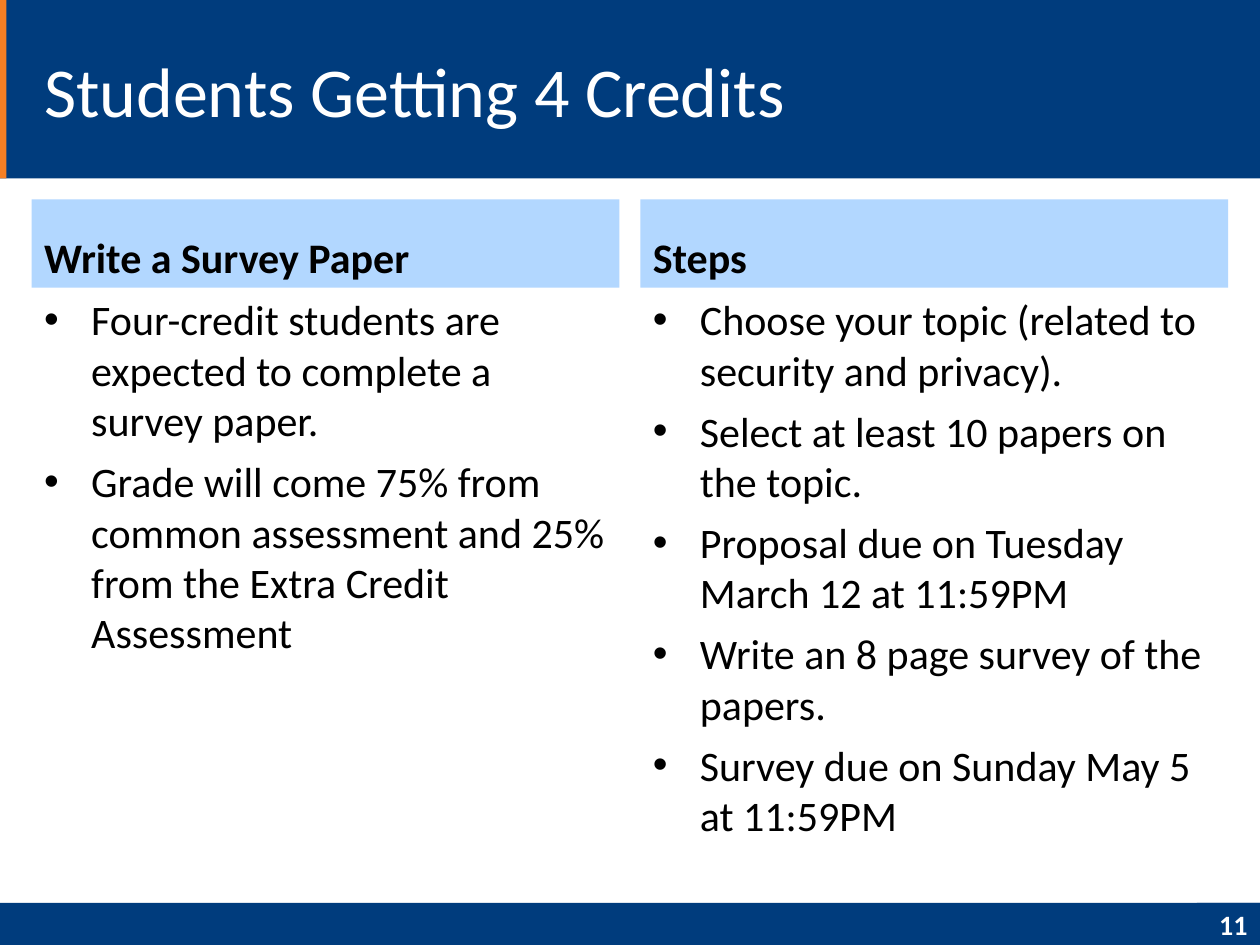
import pptx
import pptx.dml.color
import pptx.enum.shapes
import pptx.enum.text
import pptx.oxml.ns
import pptx.util
from lxml import etree

Cm = pptx.util.Cm
Pt = pptx.util.Pt
ALIGN = pptx.enum.text.PP_ALIGN
ANCHOR = pptx.enum.text.MSO_ANCHOR

COLORS = {
    "navy": "003C7D",
    "orange": "F47F24",
    "sky": "B2D7FF",
    "black": "000000",
    "white": "FFFFFF",
}
SLIDE_WIDTH, SLIDE_HEIGHT = 25.4, 19.05
HEADER_HEIGHT, FOOTER_TOP = 3.6, 18.2
FOOTER_HEIGHT = SLIDE_HEIGHT - FOOTER_TOP
MARGIN, COLUMN_WIDTH = 0.64, 11.85
HEADING_TOP, HEADING_HEIGHT = 4.02, 1.78
BODY_TOP, BODY_HEIGHT = HEADING_TOP + HEADING_HEIGHT, 11.99

COLUMNS = [
    ("Write a Survey Paper", [
        "Four-credit students are expected to complete a survey paper.",
        "Grade will come 75% from common assessment and 25% "
        "from the Extra Credit Assessment",
    ]),
    ("Steps", [
        "Choose your topic (related to security and privacy).",
        "Select at least 10 papers on the topic.",
        "Proposal due on Tuesday March 12 at 11:59PM",
        "Write an 8 page survey of the papers.",
        "Survey due on Sunday May 5 at 11:59PM",
    ]),
]


class SlideBuilder:
    """Holds the text style and the current slide."""

    font_name = "Calibri"
    bullet_indent = Cm(0.95)
    bullet_gap = Pt(6)

    def __init__(self, slide):
        self.slide = slide

    def color(self, name):
        return pptx.dml.color.RGBColor.from_string(COLORS[name])

    def block(self, left, top, width, height, fill):
        """Add a plain filled rectangle."""
        shape = self.slide.shapes.add_shape(
            pptx.enum.shapes.MSO_SHAPE.RECTANGLE,
            Cm(left), Cm(top), Cm(width), Cm(height))
        shape.shadow.inherit = False
        shape.fill.solid()
        shape.fill.fore_color.rgb = self.color(fill)
        shape.line.fill.background()
        return shape

    def text_box(self, left, top, width, height):
        """Add an empty text box."""
        return self.slide.shapes.add_textbox(
            Cm(left), Cm(top), Cm(width), Cm(height))

    def set_text(self, shape, lines, size, color="black", bold=False,
                 anchor=ANCHOR.TOP, align=ALIGN.LEFT, bulleted=False):
        """Fill a shape with one paragraph for each line."""
        frame = shape.text_frame
        frame.word_wrap = True
        frame.vertical_anchor = anchor
        formats = {"name": self.font_name, "size": Pt(size), "bold": bold}
        for index, line in enumerate(lines):
            paragraph = frame.add_paragraph() if index else frame.paragraphs[0]
            run = paragraph.add_run()
            run.text = line
            paragraph.alignment = align
            if index:
                paragraph.space_before = self.bullet_gap
            if bulleted:
                self.add_bullet(paragraph)
            for name, value in formats.items():
                setattr(run.font, name, value)
            run.font.color.rgb = self.color(color)

    def add_bullet(self, paragraph):
        """Give a paragraph a round bullet and a hanging indent."""
        properties = paragraph._p.get_or_add_pPr()
        properties.set("marL", str(self.bullet_indent))
        properties.set("indent", str(-self.bullet_indent))
        qualify = pptx.oxml.ns.qn
        bullet_color = etree.SubElement(properties, qualify("a:buClr"))
        etree.SubElement(bullet_color, qualify("a:srgbClr"),
                         val=COLORS["black"])
        etree.SubElement(properties, qualify("a:buFont"), typeface="Arial")
        etree.SubElement(properties, qualify("a:buChar"), char="•")


def main():
    presentation = pptx.Presentation()
    presentation.slide_width = Cm(SLIDE_WIDTH)
    presentation.slide_height = Cm(SLIDE_HEIGHT)
    builder = SlideBuilder(
        presentation.slides.add_slide(presentation.slide_layouts[6]))

    # Footer band, header band and accent
    builder.block(0, FOOTER_TOP, SLIDE_WIDTH, FOOTER_HEIGHT, "navy")
    builder.block(0, 0, SLIDE_WIDTH, HEADER_HEIGHT, "navy")
    builder.block(0, 0, 0.13, HEADER_HEIGHT, "orange")

    # Two columns, each with a heading and bullets
    column_step = SLIDE_WIDTH - 2 * MARGIN - COLUMN_WIDTH
    for index, (heading, bullets) in enumerate(COLUMNS):
        left = MARGIN + index * column_step
        heading_block = builder.block(
            left, HEADING_TOP, COLUMN_WIDTH, HEADING_HEIGHT, "sky")
        builder.set_text(heading_block, [heading], 24, bold=True,
                         anchor=ANCHOR.BOTTOM)
        body = builder.text_box(left, BODY_TOP, COLUMN_WIDTH, BODY_HEIGHT)
        builder.set_text(body, bullets, 24, bulleted=True)

    # Title
    title = builder.text_box(MARGIN, 0.42, 18.63, 2.75)
    builder.set_text(title, ["Students Getting 4 Credits"], 40, "white",
                     anchor=ANCHOR.MIDDLE)

    # Slide number
    number_width = 1.27
    number = builder.block(SLIDE_WIDTH - number_width, FOOTER_TOP,
                           number_width, FOOTER_HEIGHT, "navy")
    builder.set_text(number, ["11"], 16, "white", bold=True,
                     anchor=ANCHOR.MIDDLE, align=ALIGN.RIGHT)

    presentation.save("out.pptx")


if __name__ == "__main__":
    main()
